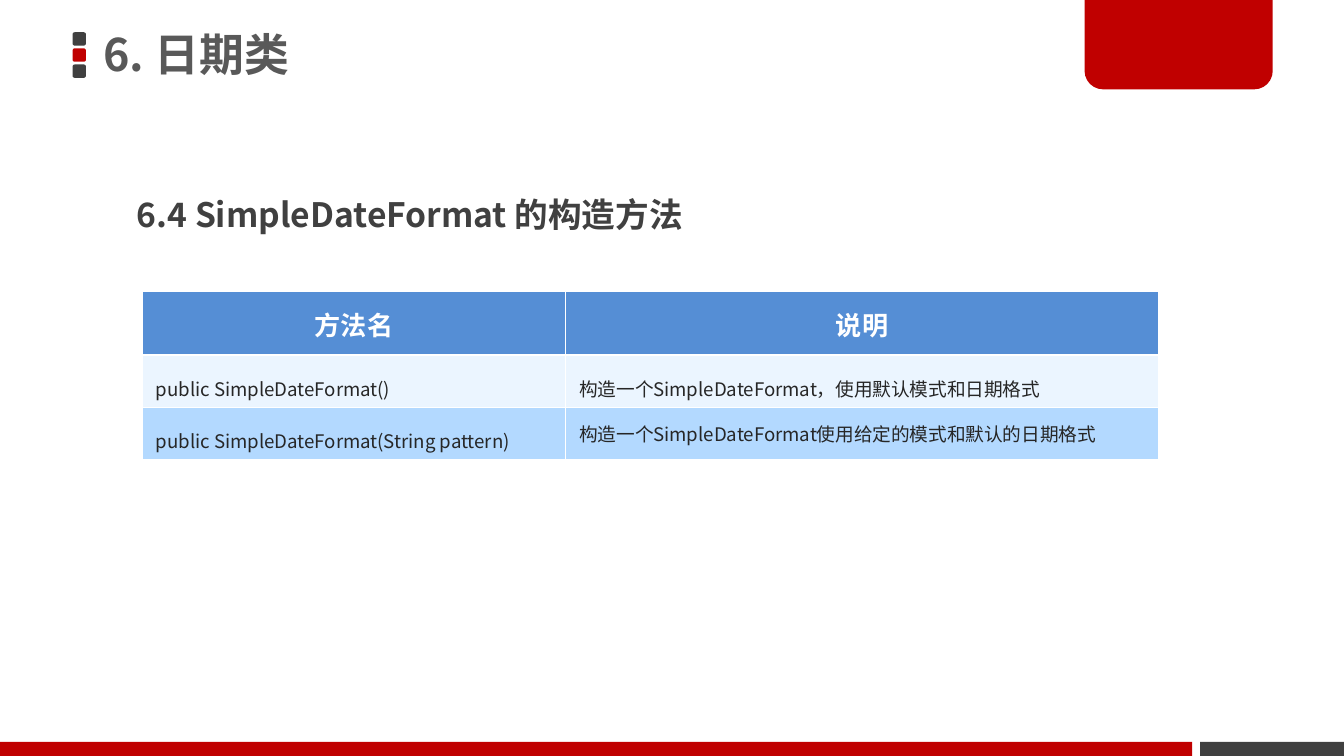
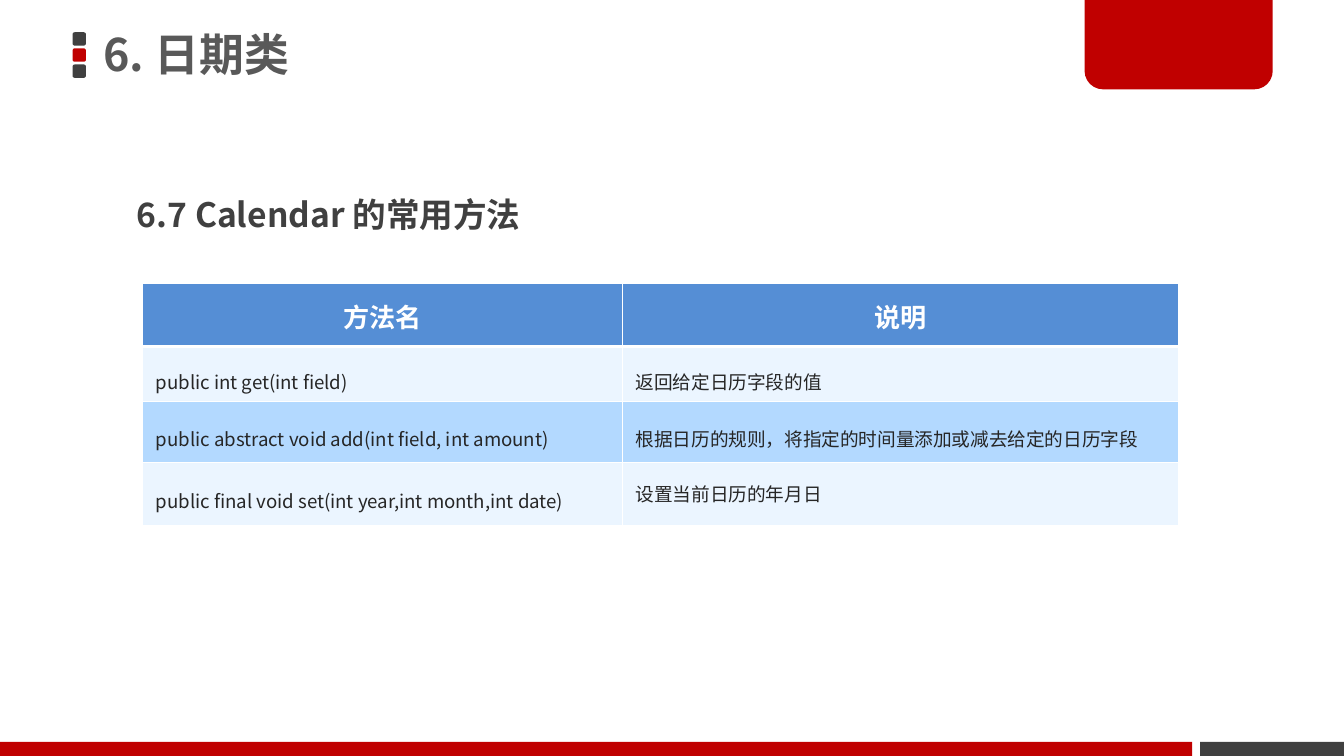
from lxml.etree import SubElement
from pptx import Presentation
from pptx.dml.color import RGBColor
from pptx.enum.shapes import MSO_SHAPE
from pptx.enum.text import MSO_ANCHOR, MSO_AUTO_SIZE, PP_ALIGN
from pptx.oxml.ns import qn
from pptx.util import Inches, Pt

COLORS = {
    "red": "C00000",
    "dark": "404040",
    "title": "595959",
    "text": "262626",
    "white": "FFFFFF",
    "header": "558ED5",
    "odd row": "EBF5FF",
    "even row": "B3D9FF",
}
FONT = "Noto Sans CJK SC"
COLUMNS, ROWS = 100, 56.25
UNIT = Inches(0.1)
TITLE_ONLY = 5
THIN, THICK = 0.45, 1.47


def units(*lengths):
    """Turn grid columns or rows into slide lengths."""
    return [round(length * UNIT) for length in lengths]


def rgb(name):
    return RGBColor.from_string(COLORS[name])


class MethodDeck:
    """Holds the shared style and the slide being built."""

    def __init__(self):
        self.deck = Presentation()
        self.deck.slide_width, self.deck.slide_height = units(COLUMNS, ROWS)
        self.layout = self.deck.slide_layouts[TITLE_ONLY]
        for holder in list(self.layout.placeholders):
            if holder.placeholder_format.idx:
                holder.element.getparent().remove(holder.element)
        title = self.layout.placeholders[0]
        title.left, title.top, title.width, title.height = units(6.9, -0.2, 58.9, 8.9)
        self.page = None

    def add_page(self, title):
        first = self.page is None
        self.page = self.deck.slides.add_slide(self.layout)
        if first:
            self.add_frame()
        frame = self.page.shapes.title.text_frame
        frame.auto_size = MSO_AUTO_SIZE.NONE
        frame.vertical_anchor = MSO_ANCHOR.MIDDLE
        frame.margin_left = frame.margin_right = Inches(0.08)
        frame.margin_top = frame.margin_bottom = Inches(0.04)
        self.add_text(frame, title, 24, "title", True, 0.9)

    def add_frame(self):
        """Draw the title marks, corner tab and footer bands, then move them to the layout."""
        shapes = self.page.shapes
        marks = shapes.add_group_shape()
        for index, color in enumerate(("dark", "red", "dark")):
            self.add_block(marks.shapes, MSO_SHAPE.ROUNDED_RECTANGLE, color,
                           5.4, 2.4 + 1.2 * index, 1, 1, 0.167)
        self.add_block(shapes, MSO_SHAPE.RECTANGLE, "dark", 89.3, 55.2, 10.7, 1.05)
        self.add_block(shapes, MSO_SHAPE.ROUND_2_SAME_RECTANGLE, "red",
                       80.7, -0.2, 14, 6.85, 0, 0.2)
        self.add_block(shapes, MSO_SHAPE.RECTANGLE, "red", 0, 55.2, 88.7, 1.05)
        for shape in list(shapes):
            if not shape.is_placeholder:
                self.layout.shapes.element.append(shape.element)

    def add_block(self, shapes, kind, color, left, top, width, height, *corners):
        block = shapes.add_shape(kind, *units(left, top, width, height))
        for index, corner in enumerate(corners):
            block.adjustments[index] = corner
        block.shadow.inherit = False
        block.fill.solid()
        block.fill.fore_color.rgb = rgb(color)
        block.line.fill.background()

    def add_heading(self, text):
        box = self.page.shapes.add_textbox(*units(9.2, 12.4, 56.5, 5.5))
        box.text_frame.word_wrap = True
        self.add_text(box.text_frame, text, 18, "dark", True, 1.5)

    def add_table(self, top, widths, heights, rows):
        frame = self.page.shapes.add_table(
            len(heights), len(widths), *units(10.6, top, sum(widths), sum(heights)))
        table = frame.table
        table.horz_banding = False
        for column, width in zip(table.columns, units(*widths)):
            column.width = width
        for row, height in zip(table.rows, units(*heights)):
            row.height = height

        for index, texts in enumerate([("方法名", "说明"), *rows]):
            for column, text in enumerate(texts):
                cell = table.cell(index, column)
                self.add_borders(cell, index)
                cell.fill.solid()
                if index == 0:
                    cell.fill.fore_color.rgb = rgb("header")
                    self.add_text(cell.text_frame, text, 14, "white", True, Pt(24),
                                  PP_ALIGN.CENTER)
                    continue
                cell.fill.fore_color.rgb = rgb("odd row" if index % 2 else "even row")
                cell.vertical_anchor = MSO_ANCHOR.MIDDLE
                is_last = index == len(rows) and column == len(texts) - 1
                self.add_text(cell.text_frame, text, 10, "text", False, 1 if is_last else 1.5)

    def add_borders(self, cell, row):
        """Thin white edges, with a thicker one between header and body."""
        properties = cell._tc.get_or_add_tcPr()
        thick_edge = {0: "B", 1: "T"}.get(row)
        for edge in "LRTB":
            width = THICK if edge == thick_edge else THIN
            line = SubElement(properties, qn(f"a:ln{edge}"), w=str(Pt(width)))
            fill = SubElement(line, qn("a:solidFill"))
            SubElement(fill, qn("a:srgbClr"), val=COLORS["white"])

    def add_text(self, frame, text, size, color, bold, spacing, align=PP_ALIGN.LEFT):
        para = frame.paragraphs[0]
        para.alignment = align
        para.line_spacing = spacing
        span = para.add_run()
        span.text = text
        span.font.size = Pt(size)
        span.font.bold = bold
        span.font.color.rgb = rgb(color)
        span.font.name = FONT
        SubElement(span.font._element, qn("a:ea"), typeface=FONT)


def main():
    slides = MethodDeck()
    title = "6. 日期类"

    slides.add_page(title)
    slides.add_heading("6.4 SimpleDateFormat 的构造方法")
    slides.add_table(21.7, (31.5, 44.1), (4.7, 3.9, 3.9), [
        ("public SimpleDateFormat()", "构造一个SimpleDateFormat，使用默认模式和日期格式"),
        ("public SimpleDateFormat(String pattern)",
         "构造一个SimpleDateFormat使用给定的模式和默认的日期格式"),
    ])

    slides.add_page(title)
    slides.add_heading("6.7 Calendar 的常用方法")
    slides.add_table(21.1, (35.7, 41.4), (4.7, 4.1, 4.5, 4.7), [
        ("public int get(int field)", "返回给定日历字段的值"),
        ("public abstract void add(int field, int amount)",
         "根据日历的规则，将指定的时间量添加或减去给定的日历字段"),
        ("public final void set(int year,int month,int date)", "设置当前日历的年月日"),
    ])

    slides.deck.save("out.pptx")


if __name__ == "__main__":
    main()
